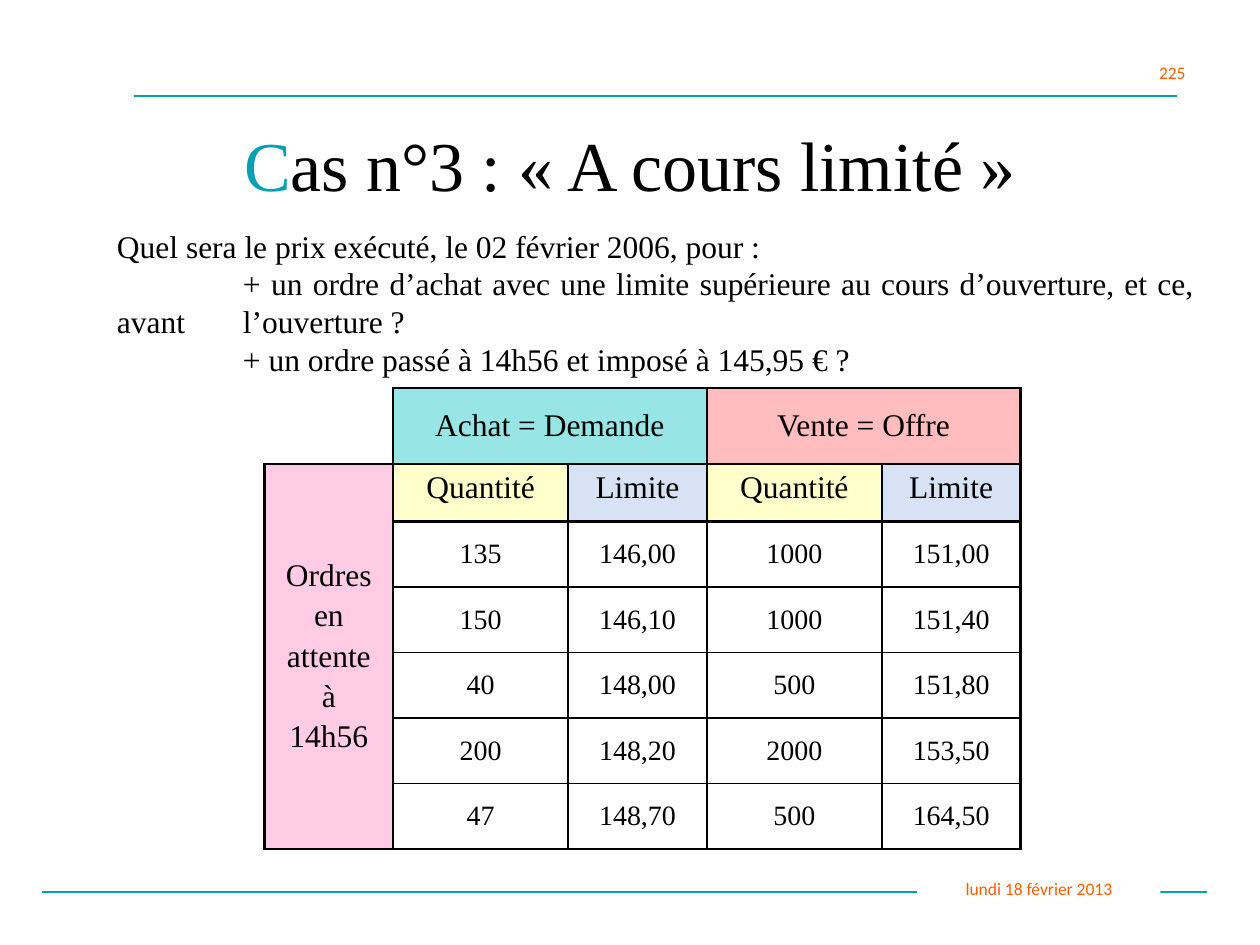
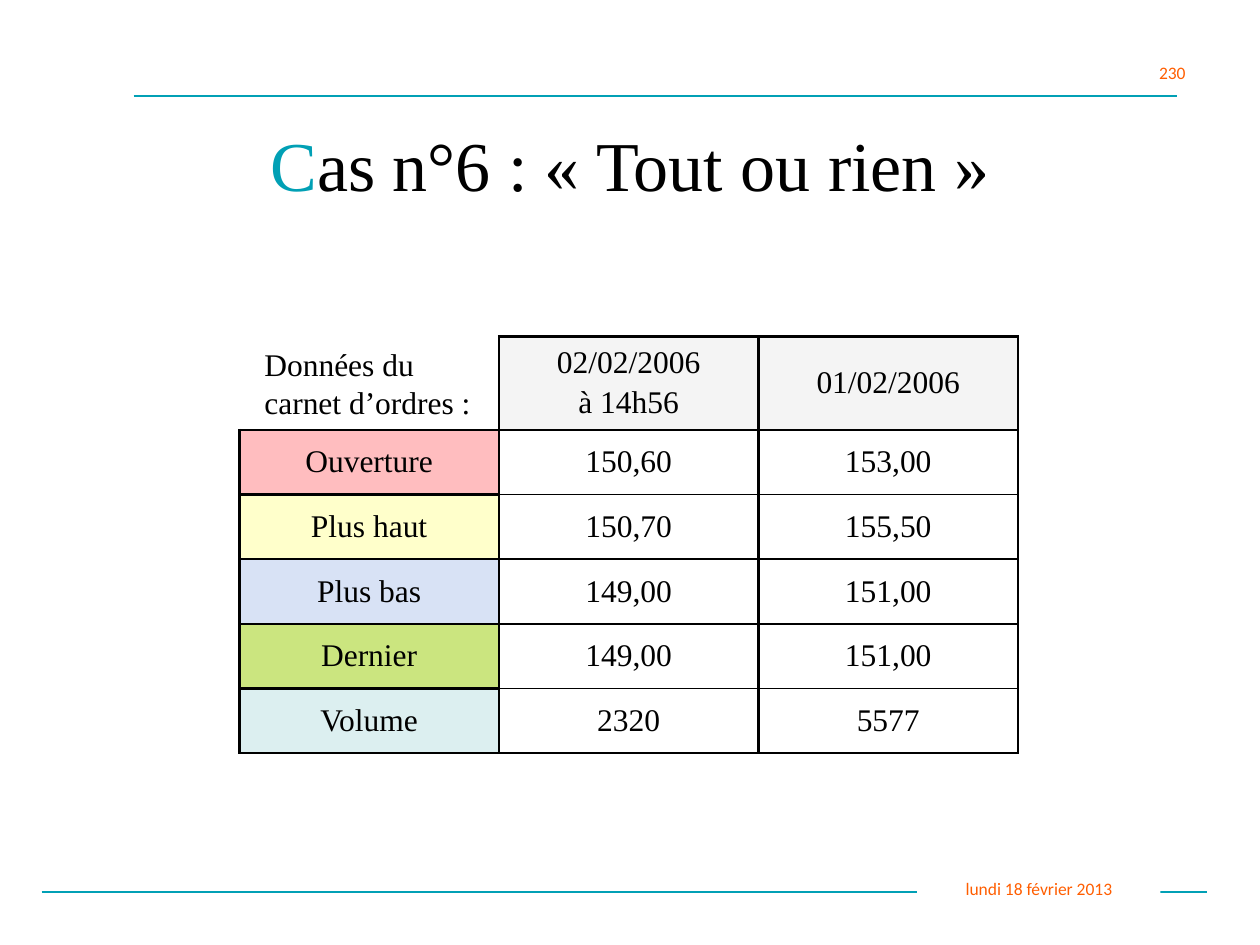
from dataclasses import dataclass

from lxml import etree
from pptx import Presentation
from pptx.dml.color import RGBColor
from pptx.enum.shapes import MSO_CONNECTOR, MSO_SHAPE
from pptx.enum.text import MSO_ANCHOR, MSO_AUTO_SIZE, PP_ALIGN
from pptx.oxml.ns import qn
from pptx.util import Inches, Pt

STRAIGHT, RECTANGLE = MSO_CONNECTOR.STRAIGHT, MSO_SHAPE.RECTANGLE
TOP, MIDDLE = MSO_ANCHOR.TOP, MSO_ANCHOR.MIDDLE
LEFT, CENTER, JUSTIFY = PP_ALIGN.LEFT, PP_ALIGN.CENTER, PP_ALIGN.JUSTIFY
GROW = MSO_AUTO_SIZE.SHAPE_TO_FIT_TEXT

SLIDE_WIDTH, SLIDE_HEIGHT = Inches(10), Inches(7.5)
COLUMN, ROW = SLIDE_WIDTH / 100, SLIDE_HEIGHT / 75


@dataclass(frozen=True)
class Theme:
    text_font: str = "Times New Roman"
    margin_font: str = "Calibri"
    title_size: float = 40
    text_size: float = 18
    value_size: float = 16
    margin_size: float = 10
    line_gap: float = 3
    thick: float = 1.5
    thin: float = 1
    ink: str = "000000"
    paper: str = "FFFFFF"
    teal: str = "01A0B5"
    orange: str = "FF5E00"
    turquoise: str = "33CCCC"
    coral: str = "FF7C80"
    pink: str = "FF99CC"
    yellow: str = "FFFF99"
    blue: str = "B2C7EC"
    green: str = "99CC00"
    ice: str = "BBE0E3"
    grey: str = "EAEAEA"


THEME = Theme()


@dataclass(frozen=True)
class Box:
    left: float
    top: float
    width: float
    height: float

    def inner(self, across, down, width, height):
        return Box(self.left + across, self.top + down, width, height)

    def lengths(self):
        return (int(self.left * COLUMN), int(self.top * ROW),
                int(self.width * COLUMN), int(self.height * ROW))


HEADER = Box(10.6, 4.4, 84.9, 3.2)
FOOTER = Box(3.3, 69.2, 92.5, 2.7)
TITLE = Box(7.5, 6.7, 85, 12.5)
QUESTION = Box(3.3, 17.5, 92.5, 13)
WAITING_ORDERS = Box(21, 30.8, 60, 36.7)
ORDER_BOOK = Box(19, 26.7, 61.8, 32.75)

DATE = "lundi 18 février 2013"
SIDES = [
    ("Achat = Demande", THEME.turquoise),
    ("Vente = Offre", THEME.coral),
]
FIELDS = [("Quantité", THEME.yellow), ("Limite", THEME.blue)] * 2
WAITING_LABEL = ["Ordres", "en", "attente", "à", "14h56"]
WAITING_VALUES = [
    ("135", "146,00", "1000", "151,00"),
    ("150", "146,10", "1000", "151,40"),
    ("40", "148,00", "500", "151,80"),
    ("200", "148,20", "2000", "153,50"),
    ("47", "148,70", "500", "164,50"),
]
BOOK_DATES = [["02/02/2006", "à 14h56"], ["01/02/2006"]]
BOOK_ROWS = [
    ("Ouverture", THEME.coral, ("150,60", "153,00")),
    ("Plus haut", THEME.yellow, ("150,70", "155,50")),
    ("Plus bas", THEME.blue, ("149,00", "151,00")),
    ("Dernier", THEME.green, ("149,00", "151,00")),
    ("Volume", THEME.ice, ("2320", "5577")),
]


def apply(target, **formats):
    for name, value in formats.items():
        setattr(target, name, value)


def rgb(color):
    return RGBColor.from_string(color)


def style_font(font, size, color=THEME.ink, name=THEME.text_font):
    apply(font, name=name, size=Pt(size), bold=False)
    font.color.rgb = rgb(color)


def write_lines(frame, lines, size=THEME.text_size, color=THEME.ink,
                name=THEME.text_font, align=LEFT, gap=0):
    for index, line in enumerate(lines):
        para = frame.add_paragraph() if index else frame.paragraphs[0]
        para.alignment = align
        if index and gap:
            para.space_before = Pt(gap)
        span = para.add_run()
        span.text = line
        style_font(span.font, size, color, name)


def add_text_box(page, box, **formats):
    frame = page.shapes.add_textbox(*box.lengths()).text_frame
    apply(frame, **{"word_wrap": True, **formats})
    return frame


def add_rule(page, box):
    left, top, width, height = box.lengths()
    rule = page.shapes.add_connector(STRAIGHT, left, top, left + width, top + height)
    rule.line.width = Pt(THEME.thin)
    rule.line.color.rgb = rgb(THEME.teal)
    etree.SubElement(rule._element.spPr, qn("a:effectLst"))


def add_margin_label(page, box, text, align, **formats):
    label = page.shapes.add_shape(RECTANGLE, *box.lengths())
    label.shadow.inherit = False
    label.fill.solid()
    label.fill.fore_color.rgb = rgb(THEME.paper)
    label.line.fill.background()
    apply(label.text_frame, auto_size=GROW, **formats)
    write_lines(label.text_frame, [text], THEME.margin_size, THEME.orange,
                THEME.margin_font, align)


def draw_header(page, box, number):
    add_margin_label(page, box.inner(80.4, 0, 4.5, 2.7), number, LEFT,
                     vertical_anchor=TOP, word_wrap=False)
    add_rule(page, box.inner(0, box.height, 82.8, 0))


def draw_footer(page, box):
    add_rule(page, box.inner(0, 1.6, box.width, 0))
    add_margin_label(page, box.inner(69.5, 0, 19.3, box.height), DATE, CENTER,
                     vertical_anchor=MIDDLE, word_wrap=True)


def draw_title(page, box, title):
    para = add_text_box(page, box, vertical_anchor=MIDDLE).paragraphs[0]
    para.alignment = CENTER
    for text, color in ((title[0], THEME.teal), (title[1:], THEME.ink)):
        span = para.add_run()
        span.text = text
        style_font(span.font, THEME.title_size, color)


def draw_question(page, box):
    frame = add_text_box(page, box)
    write_lines(frame, [
        "Quel sera le prix exécuté, le 02 février 2006, pour :",
        "+ un ordre d’achat avec une limite supérieure au cours d’ouverture, "
        "et ce, avant\tl’ouverture ?",
        "+ un ordre passé à 14h56 et imposé à 145,95 € ?",
    ], align=JUSTIFY)
    for para, indent in zip(frame.paragraphs, (0, 10, 10)):
        layout = para._p.get_or_add_pPr()
        layout.set("marL", str(int(5 * COLUMN)))
        layout.set("indent", str(int(indent * COLUMN)))
        if "\t" in para.text:
            stops = etree.SubElement(layout, qn("a:tabLst"))
            etree.SubElement(stops, qn("a:tab"), pos=str(int(21.9 * COLUMN)), algn="l")


def draw_borders(cell, **widths):
    layout = cell._tc.get_or_add_tcPr()
    for side in "LRTB":
        width = widths.get(side, 0)
        edge = etree.SubElement(layout, qn(f"a:ln{side}"), w=str(int(Pt(width))))
        if width:
            fill = etree.SubElement(edge, qn("a:solidFill"))
            etree.SubElement(fill, qn("a:srgbClr"), val=THEME.ink)
        else:
            etree.SubElement(edge, qn("a:noFill"))


def fill_cell(cell, lines, color=None, size=THEME.text_size, anchor=MIDDLE, **edges):
    draw_borders(cell, **{**dict.fromkeys("LRTB", THEME.thick), **edges})
    cell.vertical_anchor = anchor
    if color:
        cell.fill.solid()
        cell.fill.fore_color.rgb = rgb(color)
        tint = cell._tc.tcPr.find(qn("a:solidFill"))[0]
        etree.SubElement(tint, qn("a:alpha"), val="50000")
    else:
        cell.fill.background()
    write_lines(cell.text_frame, lines, size, align=CENTER, gap=THEME.line_gap)


def add_grid(page, box, columns, rows):
    grid = page.shapes.add_table(len(rows), len(columns), *box.lengths()).table
    apply(grid, first_row=False, horz_banding=False)
    for column, width in zip(grid.columns, columns):
        column.width = int(width * COLUMN)
    for row, height in zip(grid.rows, rows):
        row.height = int(height * ROW)
    fill_cell(grid.cell(0, 0), [], L=0, T=0)
    return grid


def fill_values(grid, first_row, rows, size):
    last = len(rows) - 1
    for index, values in enumerate(rows):
        edges = {"T": THEME.thin if index else THEME.thick,
                 "B": THEME.thin if index < last else THEME.thick}
        for column, value in enumerate(values, 1):
            fill_cell(grid.cell(first_row + index, column), [value], size=size, **edges)


def draw_waiting_orders(page, box):
    grid = add_grid(page, box, [10.2, 13.9, 11, 13.9, 11], [6, 4.6] + [5.2] * 5)
    for index, (side, color) in enumerate(SIDES):
        first = 1 + 2 * index
        fill_cell(grid.cell(0, first), [side], color)
        fill_cell(grid.cell(0, first + 1), [])
        grid.cell(0, first).merge(grid.cell(0, first + 1))
    fill_cell(grid.cell(1, 0), WAITING_LABEL, THEME.pink)
    for row in range(2, 7):
        fill_cell(grid.cell(row, 0), [])
    grid.cell(1, 0).merge(grid.cell(6, 0))
    for column, (field, color) in enumerate(FIELDS, 1):
        fill_cell(grid.cell(1, column), [field], color, anchor=TOP)
    fill_values(grid, 2, WAITING_VALUES, THEME.value_size)


def draw_order_book(page, box):
    grid = add_grid(page, box, [box.width / 3] * 3, [7.1] + [5.13] * 5)
    for column, lines in enumerate(BOOK_DATES, 1):
        fill_cell(grid.cell(0, column), lines, THEME.grey)
    for row, (label, color, _) in enumerate(BOOK_ROWS, 1):
        fill_cell(grid.cell(row, 0), [label], color)
    fill_values(grid, 1, [values for _, _, values in BOOK_ROWS], THEME.text_size)
    caption = add_text_box(page, box.inner(1, 0.2, 18.4, 7), word_wrap=False)
    write_lines(caption, ["Données du", "carnet d’ordres :"])


def add_page(deck, number, title):
    page = deck.slides.add_slide(deck.slide_layouts[6])
    draw_footer(page, FOOTER)
    draw_header(page, HEADER, number)
    draw_title(page, TITLE, title)
    return page


def main():
    deck = Presentation()
    apply(deck, slide_width=SLIDE_WIDTH, slide_height=SLIDE_HEIGHT)
    limit_page = add_page(deck, "225", "Cas n°3 : « A cours limité »")
    draw_question(limit_page, QUESTION)
    draw_waiting_orders(limit_page, WAITING_ORDERS)
    all_or_none_page = add_page(deck, "230", "Cas n°6 : « Tout ou rien »")
    draw_order_book(all_or_none_page, ORDER_BOOK)
    deck.save("out.pptx")


if __name__ == "__main__":
    main()
